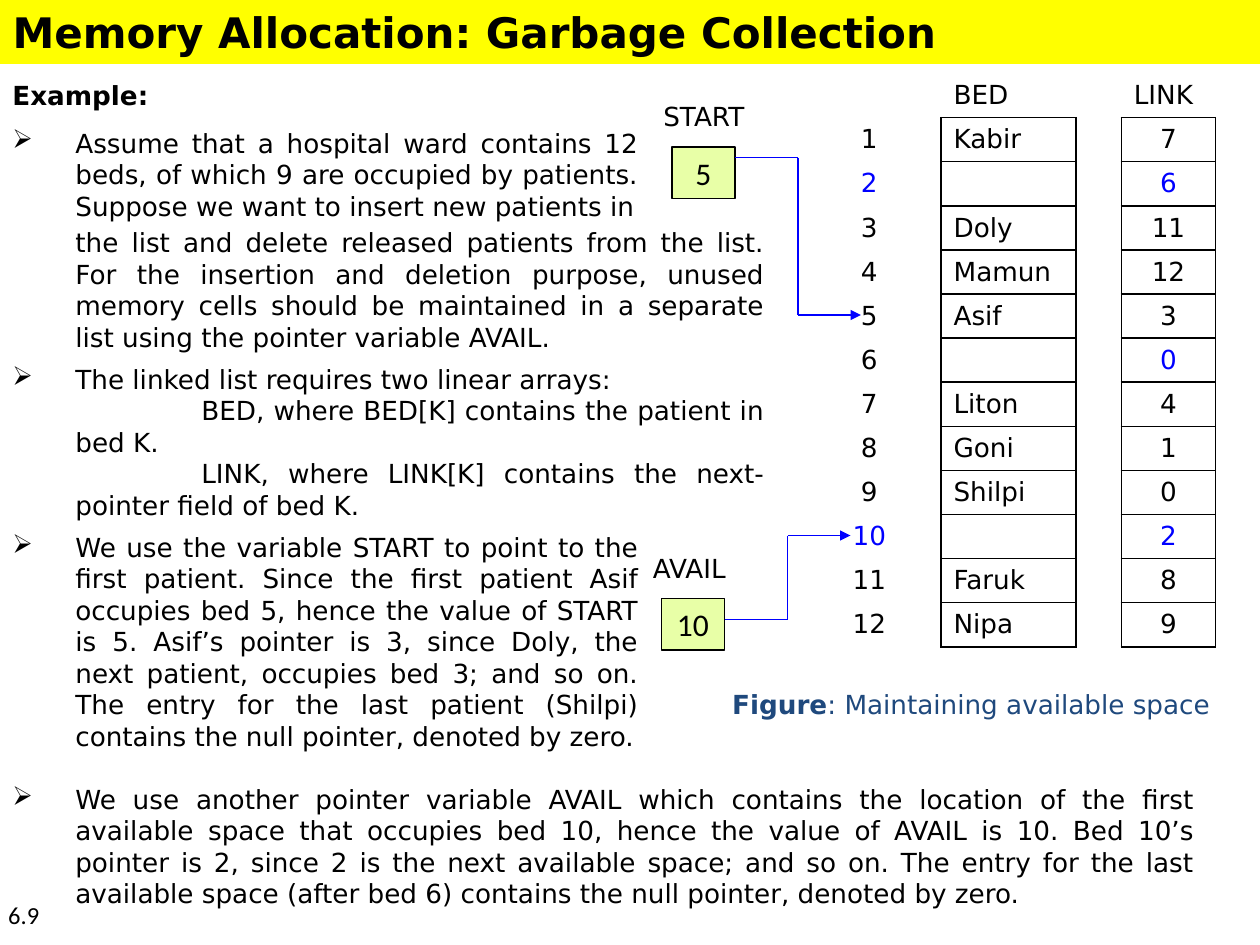
from lxml.etree import SubElement
from pptx import Presentation
from pptx.dml.color import RGBColor
from pptx.enum.shapes import MSO_CONNECTOR, MSO_SHAPE
from pptx.enum.text import MSO_ANCHOR, PP_ALIGN
from pptx.oxml.ns import qn
from pptx.util import Pt

COLORS = {"black": "000000", "blue": "0000FF", "navy": "1F497D",
          "title": "FFFF00", "node": "E8FFA7"}
SANS = "DejaVu Sans"
PLAIN = "{2D5ABB26-0587-4C30-8999-92F81FD0307C}"  # table style without grid
ROWS = [("Kabir", 7), ("", 6), ("Doly", 11), ("Mamun", 12), ("Asif", 3),
        ("", 0), ("Liton", 4), ("Goni", 1), ("Shilpi", 0), ("", 2),
        ("Faruk", 8), ("Nipa", 9)]
HEADS = {2, 10}  # numbers shown in blue

WARD = ("Assume that a hospital ward contains 12 beds, of which 9 are occupied "
        "by patients. Suppose we want to insert new patients in")
UNUSED = ("the list and delete released patients from the list. For the "
          "insertion and deletion purpose, unused memory cells should be "
          "maintained in a separate list using the pointer variable AVAIL.")
START = ("We use the variable START to point to the first patient. Since the "
         "first patient Asif occupies bed 5, hence the value of START is 5. "
         "Asif’s pointer is 3, since Doly, the next patient, occupies bed 3; "
         "and so on. The entry for the last patient (Shilpi) contains the null "
         "pointer, denoted by zero.")
AVAIL = ("We use another pointer variable AVAIL which contains the location of "
         "the first available space that occupies bed 10, hence the value of "
         "AVAIL is 10. Bed 10’s pointer is 2, since 2 is the next available "
         "space; and so on. The entry for the last available space (after bed 6) "
         "contains the null pointer, denoted by zero.")


def rgb(name):
    return RGBColor.from_string(COLORS[name])


def style(para, size=15, color="black", bold=False, face=SANS, align=PP_ALIGN.LEFT):
    para.alignment = align
    font = para.font
    font.size, font.name, font.bold = Pt(size), face, bold
    font.color.rgb = rgb(color)


def add_box(slide, left, top, width, height):
    box = slide.shapes.add_textbox(Pt(left), Pt(top), Pt(width), Pt(height))
    box.text_frame.word_wrap = True
    return box.text_frame


def add_title(slide, text, left, top, width, height):
    title = slide.shapes.title
    title.left, title.top = Pt(left), Pt(top)
    title.width, title.height = Pt(width), Pt(height)
    title.fill.solid()
    title.fill.fore_color.rgb = rgb("title")
    frame = title.text_frame
    frame.text = text
    frame.vertical_anchor = MSO_ANCHOR.MIDDLE
    style(frame.paragraphs[0], 24, bold=True)


def add_body(slide, left, top, width, height, items):
    """Justified text; each item is (text, first indent, before, after, bold).

    A negative first indent hangs a bullet in the margin.
    """
    frame = add_box(slide, left, top, width, height)
    for i, (text, indent, before, after, bold) in enumerate(items):
        para = frame.paragraphs[0] if i == 0 else frame.add_paragraph()
        para.text = text
        para.level = 1
        para.space_before, para.space_after = Pt(before), Pt(after)
        props = para._p.get_or_add_pPr()
        props.set("marL", str(0 if bold else Pt(36)))
        props.set("indent", str(Pt(indent)))
        if indent < 0:
            SubElement(props, qn("a:buChar"), char="➢")
        else:
            SubElement(props, qn("a:buNone"))
        style(para, bold=bold, align=PP_ALIGN.JUSTIFY)


def add_label(slide, text, left, top, width, height, **look):
    para = add_box(slide, left, top, width, height).paragraphs[0]
    para.text = text
    style(para, **look)


def add_line(slide, begin, end, arrow=False):
    line = slide.shapes.add_connector(
        MSO_CONNECTOR.STRAIGHT, *(Pt(v) for v in begin + end))
    line.line.color.rgb = rgb("blue")
    line.line.width = Pt(0.75)
    if arrow:
        SubElement(line.line._get_or_add_ln(), qn("a:tailEnd"), type="triangle")
    SubElement(line._element.spPr, qn("a:effectLst"))


def add_pointer(slide, name, value, left, top, exit_y, goal_y):
    """Labelled node with a bent arrow from its right side to a table row."""
    width, height, step = 36, 29.5, 36
    node = slide.shapes.add_shape(
        MSO_SHAPE.RECTANGLE, Pt(left), Pt(top), Pt(width), Pt(height))
    node.shadow.inherit = False
    node.fill.solid()
    node.fill.fore_color.rgb = rgb("node")
    node.line.color.rgb = rgb("black")
    node.line.width = Pt(0.75)
    frame = node.text_frame
    frame.text = str(value)
    style(frame.paragraphs[0], 18, face="Calibri", align=PP_ALIGN.CENTER)
    add_label(slide, name, left - 12, top - 30, 84, 25)
    edge = left + width
    bend = edge + step
    add_line(slide, (edge, exit_y), (bend, exit_y))
    add_line(slide, (bend, exit_y), (bend, goal_y))
    add_line(slide, (bend, goal_y), (bend + step, goal_y), arrow=True)


def add_border(cell):
    props = cell._tc.get_or_add_tcPr()
    for side in ("a:lnL", "a:lnR", "a:lnT", "a:lnB"):
        line = SubElement(props, qn(side), w=str(Pt(1)))
        fill = SubElement(line, qn("a:solidFill"))
        SubElement(fill, qn("a:srgbClr"), val=COLORS["black"])


def fill_cell(cell, text, color, align, framed):
    cell.margin_top = cell.margin_bottom = 0
    cell.vertical_anchor = MSO_ANCHOR.MIDDLE
    if framed:
        add_border(cell)
    cell.fill.background()
    cell.text = str(text)
    style(cell.text_frame.paragraphs[0], color=color, align=align)


def add_beds(slide, left, top, widths, height):
    count = len(ROWS) + 1
    table = slide.shapes.add_table(
        count, len(widths), Pt(left), Pt(top), Pt(sum(widths)), Pt(height)).table
    table._tbl.tblPr.find(qn("a:tableStyleId")).text = PLAIN
    table.first_row = table.horz_banding = False
    for col, width in zip(table.columns, widths):
        col.width = Pt(width)
    for row in table.rows:
        row.height = Pt(height / count)
    for col, text in enumerate(("", "BED", "", "LINK")):
        fill_cell(table.cell(0, col), text, "black", PP_ALIGN.LEFT, False)
    for num, (bed, link) in enumerate(ROWS, 1):
        head = "blue" if num in HEADS else "black"
        free = "black" if bed else "blue"
        texts = ((num, head), (bed, "black"), ("", "black"), (link, free))
        for col, (text, color) in enumerate(texts):
            align = PP_ALIGN.LEFT if col == 1 else PP_ALIGN.CENTER
            fill_cell(table.cell(num, col), text, color, align, col in (1, 3))


def add_caption(slide, head, rest, left, top, width, height):
    para = add_box(slide, left, top, width, height).paragraphs[0]
    para.add_run().text = head
    para.add_run().text = rest
    style(para, color="navy", align=PP_ALIGN.CENTER)
    para.runs[0].font.bold = True


def main():
    deck = Presentation()
    deck.slide_width, deck.slide_height = Pt(720), Pt(540)
    slide = deck.slides.add_slide(deck.slide_layouts[5])
    add_title(slide, "Memory Allocation: Garbage Collection", 0, 0, 720, 36.5)
    add_label(slide, "6.9", -2.4, 510.5, 59, 29.5, size=14, face="Calibri")
    add_body(slide, 0, 42, 372, 88.5, [
        ("Example:", 0, 0, 6, True), (WARD, -36, 3, 3, False)])
    add_body(slide, 0, 126, 444, 175, [
        (UNUSED, 0, 0, 6, False),
        ("The linked list requires two linear arrays:", -36, 0, 0, False),
        ("BED, where BED[K] contains the patient in bed K.", 72, 0, 0, False),
        ("LINK, where LINK[K] contains the next-pointer field of bed K.",
         72, 0, 0, False)])
    add_body(slide, 0, 300, 372, 154, [(START, -36, 0, 3, False)])
    add_body(slide, 0, 444, 690, 79, [(AVAIL, -36, 0, 0, False)])
    add_beds(slide, 455.75, 42, (82, 77, 26, 54), 327.6)
    add_pointer(slide, "START", 5, 384, 84, 90, 180)
    add_pointer(slide, "AVAIL", 10, 378, 342, 354, 306)
    add_caption(slide, "Figure", ": Maintaining available space", 384, 390, 342, 25)
    deck.save("out.pptx")


if __name__ == "__main__":
    main()
